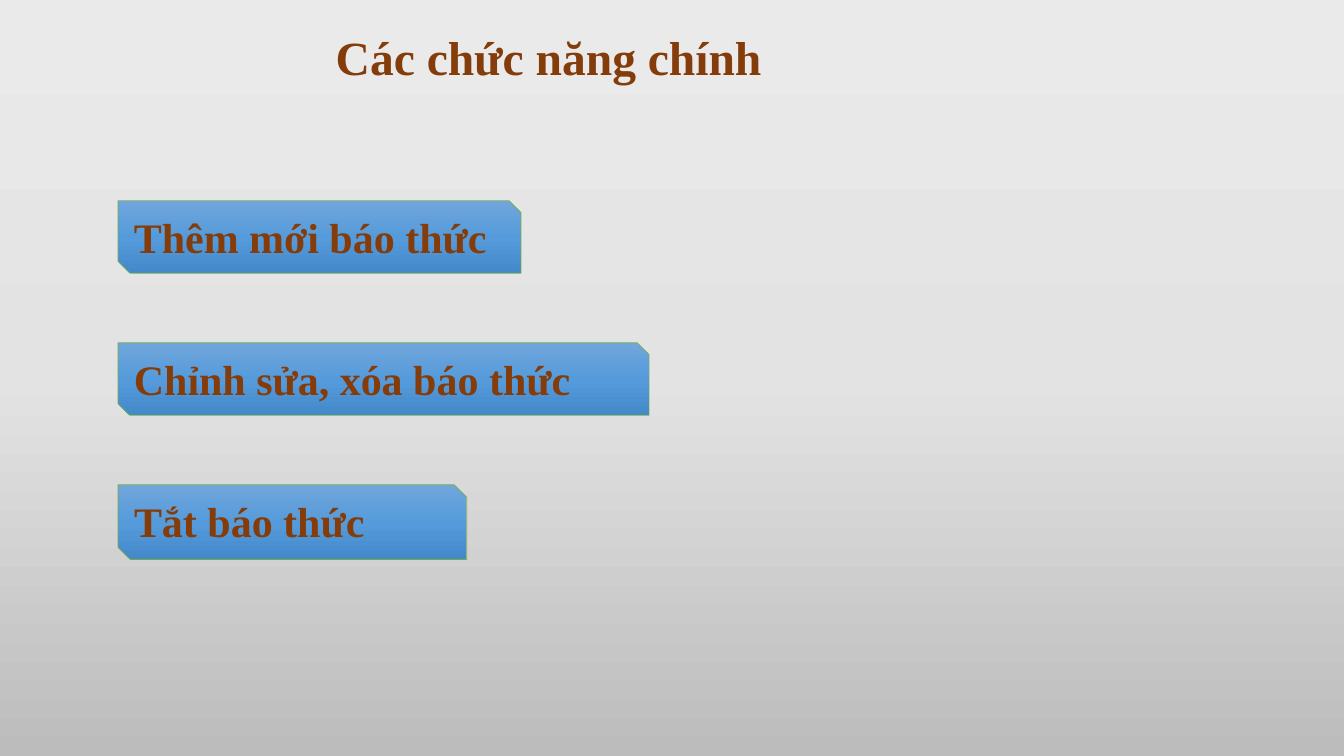
import copy

import pptx
import pptx.dml.color
import pptx.enum.shapes
import pptx.enum.text
import pptx.util

Pt = pptx.util.Pt
RGBColor = pptx.dml.color.RGBColor

BROWN = RGBColor(0x84, 0x3C, 0x0B)
GREEN = RGBColor(0x70, 0xAD, 0x47)
GREYS = (RGBColor(0xEB, 0xEA, 0xEA), RGBColor(0xE4, 0xE3, 0xE3), RGBColor(0xBD, 0xBC, 0xBC))
BLUES = (RGBColor(0x71, 0xA6, 0xDB), RGBColor(0x55, 0x9B, 0xDB), RGBColor(0x44, 0x8A, 0xCA))

FEATURES = (
    ("Thêm mới báo thức", 288, 51.84),
    ("Chỉnh sửa, xóa báo thức", 379.44, 51.84),
    ("Tắt báo thức", 249.12, 53.28),
)
FEATURE_PITCH = 101.5


def fill_downwards(fill, colors):
    fill.gradient()
    fill.gradient_angle = 270
    first_stop = fill.gradient_stops[0]._gs
    first_stop.addnext(copy.deepcopy(first_stop))
    for index, (stop, color) in enumerate(zip(fill.gradient_stops, colors)):
        stop.position = index / (len(colors) - 1)
        stop.color.rgb = color


def write_line(frame, text, size, alignment):
    line = frame.paragraphs[0]
    line.text = text
    line.alignment = alignment
    line.font.name = "Times New Roman"
    line.font.size = Pt(size)
    line.font.bold = True
    line.font.color.rgb = BROWN
    return line


def add_title(slide, left, top, width, height):
    title = slide.shapes.add_textbox(Pt(left), Pt(top), Pt(width), Pt(height))
    frame = title.text_frame
    frame.word_wrap = True
    frame.vertical_anchor = pptx.enum.text.MSO_ANCHOR.MIDDLE
    line = write_line(frame, "Các chức năng chính", 34, pptx.enum.text.PP_ALIGN.CENTER)
    line.line_spacing = 0.9


def add_feature(slide, text, left, top, width, height):
    feature = slide.shapes.add_shape(
        pptx.enum.shapes.MSO_SHAPE.SNIP_2_DIAG_RECTANGLE,
        Pt(left), Pt(top), Pt(width), Pt(height),
    )
    feature.shadow.inherit = False
    fill_downwards(feature.fill, BLUES)
    feature.line.color.rgb = GREEN
    feature.line.width = Pt(0.5)
    frame = feature.text_frame
    frame.word_wrap = True
    frame.auto_size = pptx.enum.text.MSO_AUTO_SIZE.SHAPE_TO_FIT_TEXT
    frame.vertical_anchor = pptx.enum.text.MSO_ANCHOR.TOP
    write_line(frame, text, 30, pptx.enum.text.PP_ALIGN.LEFT)


def add_feature_list(slide, left, top):
    for row, (text, width, height) in enumerate(FEATURES):
        add_feature(slide, text, left, top + row * FEATURE_PITCH, width, height)


def main():
    deck = pptx.Presentation()
    deck.slide_width = Pt(960)
    deck.slide_height = Pt(540)
    slide = deck.slides.add_slide(deck.slide_layouts[6])
    fill_downwards(slide.background.fill, GREYS)
    add_title(slide, 54, 10.8, 676, 64.8)
    add_feature_list(slide, 84.24, 143.3)
    deck.save("out.pptx")


if __name__ == "__main__":
    main()
